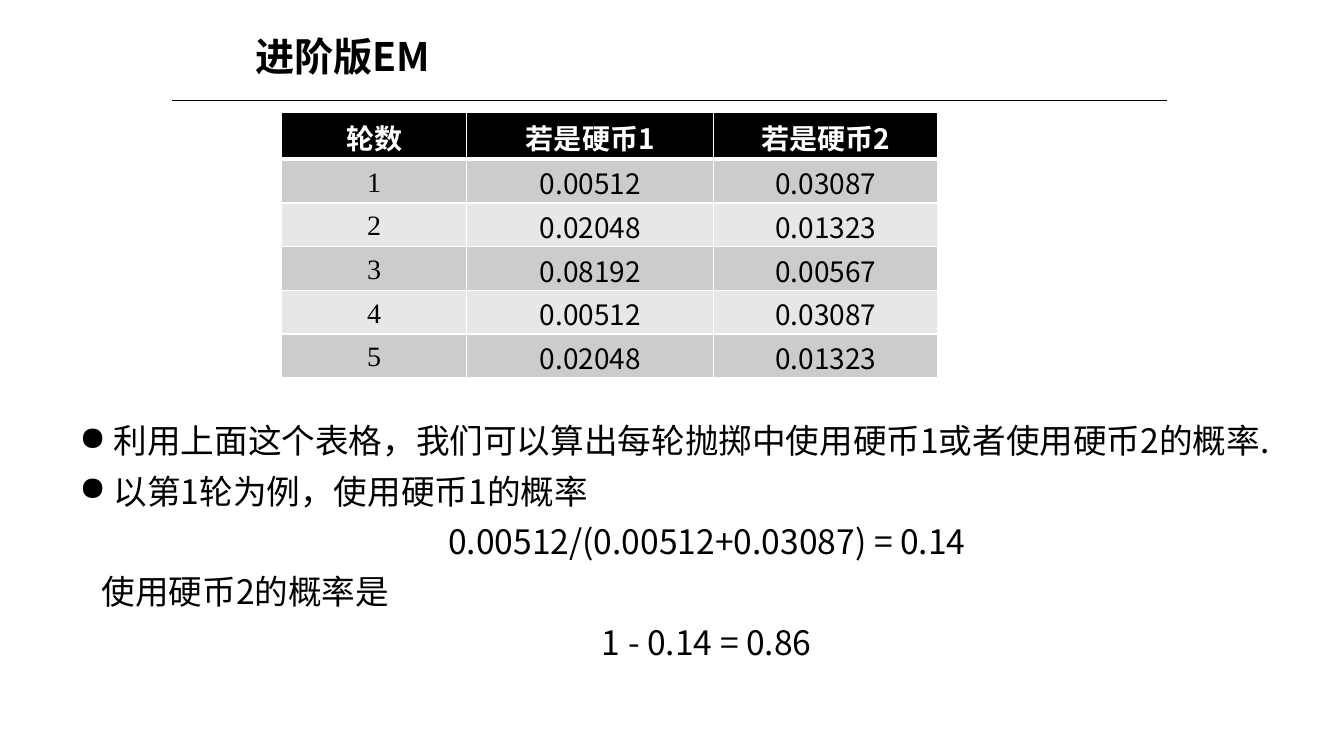
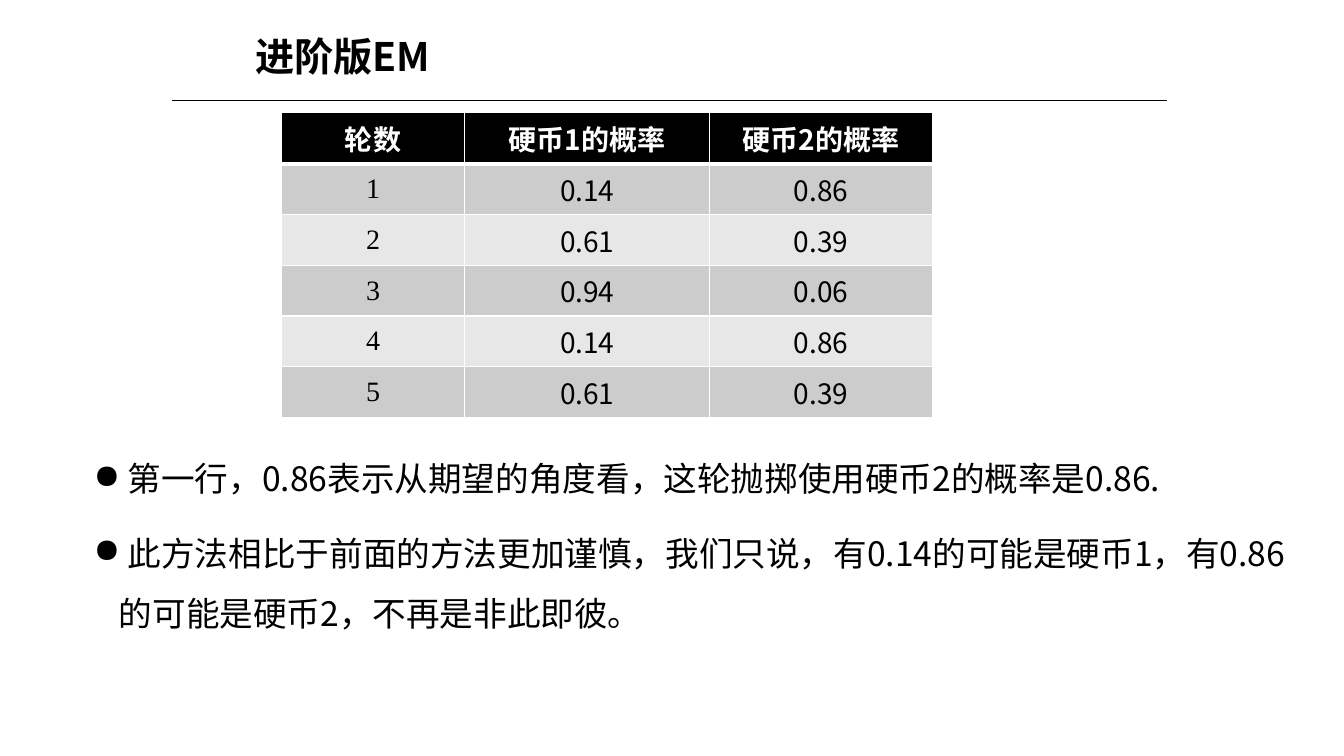
from dataclasses import dataclass

from lxml import etree
from pptx import Presentation
from pptx import util as u
from pptx.dml.color import RGBColor
from pptx.enum import shapes, text
from pptx.oxml import ns

PX = 9144  # EMU; 100 px to the inch
LEFT, MID = text.PP_ALIGN.LEFT, text.PP_ALIGN.CENTER


@dataclass(frozen=True)
class Theme:
    sans: str = "Noto Sans CJK SC"
    serif: str = "Times New Roman"
    ink: str = "000000"
    white: str = "FFFFFF"
    bands: tuple = ("CCCCCC", "E7E7E7")
    title: int = 28
    body: int = 24
    cell: int = 20


T = Theme()


def px(n):
    return u.Emu(n * PX)


def box(*sides):
    return [px(n) for n in sides]


def rgb(code):
    return RGBColor.from_string(code)


def sub(node, tag, **attrs):
    return etree.SubElement(node, ns.qn(tag), attrs)


def write(para, words, size=T.body, font=T.sans, color=T.ink, bold=False,
          align=LEFT):
    para.alignment = align
    run = para.add_run()
    run.text = words
    run.font.size = u.Pt(size)
    run.font.name = font
    run.font.bold = bold
    run.font.color.rgb = rgb(color)
    sub(run.font._element, "a:ea", typeface=T.sans)


def start(deck, title):
    """Add a slide with its title and the rule below it."""
    slide = deck.slides.add_slide(deck.slide_layouts[5])
    head = slide.shapes.title
    head.left, head.top, head.width, head.height = box(243, 27, 804, 57)
    frame = head.text_frame
    frame.auto_size = text.MSO_AUTO_SIZE.NONE
    frame.vertical_anchor = text.MSO_ANCHOR.MIDDLE
    write(frame.paragraphs[0], title, size=T.title, bold=True)
    rule = slide.shapes.add_connector(
        shapes.MSO_CONNECTOR.STRAIGHT, *box(171, 100, 1157, 100))
    rule.line.color.rgb = rgb(T.ink)
    rule.line.width = u.Pt(0.5)
    sub(rule._element.spPr, "a:effectLst")
    return slide


def edge(cell, head):
    """Draw white borders, heavier below the head row."""
    props = cell._tc.get_or_add_tcPr()
    for side in "LRTB":
        wide = 3 if head and side == "B" else 1
        line = sub(props, "a:ln" + side, w=str(u.Pt(wide)))
        sub(sub(line, "a:solidFill"), "a:srgbClr", val=T.white)


def grid(slide, rows, cols, highs, pads):
    """Add a table; highs gives head and body row heights, pads top and bottom."""
    first, rest = highs
    high = first + rest * (len(rows) - 1)
    table = slide.shapes.add_table(
        len(rows), len(cols), *box(279, 112, sum(cols), high)).table
    table.horz_banding = False
    for col, wide in zip(table.columns, cols):
        col.width = px(wide)
    for r, row in enumerate(rows):
        head = r == 0
        table.rows[r].height = px(first if head else rest)
        for c, words in enumerate(row):
            cell = table.cell(r, c)
            edge(cell, head)
            cell.fill.solid()
            cell.fill.fore_color.rgb = rgb(T.ink if head else T.bands[(r - 1) % 2])
            cell.margin_top, cell.margin_bottom = box(*pads)
            cell.vertical_anchor = text.MSO_ANCHOR.MIDDLE
            write(cell.text_frame.paragraphs[0], words, size=T.cell, bold=head,
                  font=T.sans if c else T.serif,
                  color=T.white if head else T.ink, align=MID)


def mark(para):
    """Give the paragraph a round bullet with a hanging indent."""
    props = para._p.get_or_add_pPr()
    props.set("marL", str(px(25)))
    props.set("indent", str(px(-25)))
    sub(props, "a:buChar", char="●")


def notes(slide, place, items, lead):
    """Add body text; items are (kind, words), lead the later line height."""
    frame = slide.shapes.add_textbox(*box(*place)).text_frame
    frame.word_wrap = True
    for i, (kind, words) in enumerate(items):
        para = frame.add_paragraph() if i else frame.paragraphs[0]
        para.line_spacing = u.Pt(lead if i else 43)
        para.space_before = u.Pt(10 if i else 0)
        if kind == "dot":
            mark(para)
            words = " " + words
        elif kind == "inset":
            para._p.get_or_add_pPr().set("marL", str(px(22)))
        write(para, words, align=MID if kind == "sum" else LEFT)


def main():
    deck = Presentation()
    deck.slide_width, deck.slide_height = box(1333, 750)
    title = "进阶版EM"

    slide = start(deck, title)
    grid(slide, [
        ("轮数", "若是硬币1", "若是硬币2"),
        ("1", "0.00512", "0.03087"),
        ("2", "0.02048", "0.01323"),
        ("3", "0.08192", "0.00567"),
        ("4", "0.00512", "0.03087"),
        ("5", "0.02048", "0.01323"),
    ], cols=(184, 245, 222), highs=(46, 43), pads=(3, 0))
    notes(slide, (69, 392, 1264, 291), [
        ("dot", "利用上面这个表格，我们可以算出每轮抛掷中使用硬币1或者使用硬币2的概率."),
        ("dot", "以第1轮为例，使用硬币1的概率"),
        ("sum", "0.00512/(0.00512+0.03087) = 0.14"),
        ("inset", "使用硬币2的概率是"),
        ("sum", "1 - 0.14 = 0.86"),
    ], lead=26)

    slide = start(deck, title)
    grid(slide, [
        ("轮数", "硬币1的概率", "硬币2的概率"),
        ("1", "0.14", "0.86"),
        ("2", "0.61", "0.39"),
        ("3", "0.94", "0.06"),
        ("4", "0.14", "0.86"),
        ("5", "0.61", "0.39"),
    ], cols=(182, 243, 221), highs=(50, 50), pads=(5, 5))
    notes(slide, (83, 430, 1209, 237), [
        ("dot", "第一行，0.86表示从期望的角度看，这轮抛掷使用硬币2的概率是0.86."),
        ("dot", "此方法相比于前面的方法更加谨慎，我们只说，有0.14的可能是硬币1，"
                "有0.86的可能是硬币2，不再是非此即彼。"),
    ], lead=43)

    deck.save("out.pptx")


if __name__ == "__main__":
    main()
